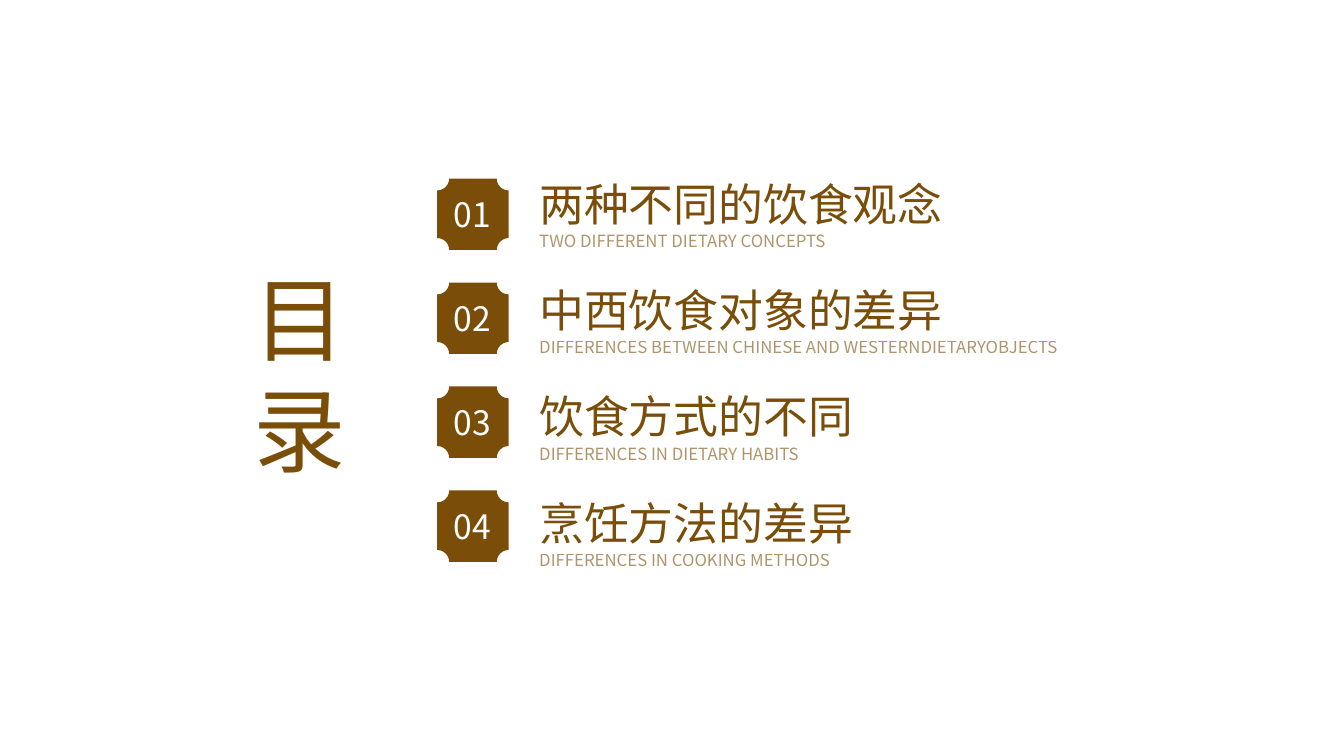
from lxml import etree
from pptx import Presentation
from pptx.dml.color import RGBColor
from pptx.enum.shapes import MSO_SHAPE as Shape
from pptx.enum.text import MSO_ANCHOR as Anchor, PP_ALIGN as Align
from pptx.oxml.ns import qn
from pptx.util import Cm, Pt

# Content
TITLE = "目 录"
CHAPTERS = [
    ("01", "两种不同的饮食观念", "TWO DIFFERENT DIETARY CONCEPTS"),
    ("02", "中西饮食对象的差异", "DIFFERENCES BETWEEN CHINESE AND WESTERNDIETARYOBJECTS"),
    ("03", "饮食方式的不同", "DIFFERENCES IN DIETARY HABITS"),
    ("04", "烹饪方法的差异", "DIFFERENCES IN COOKING METHODS"),
]

# Style
FONT = "Noto Sans CJK SC"
BROWN, WHITE = "7A4E09", "FFFFFF"
TITLE_STYLE = {"size": Pt(66), "bold": False}
HEADING_STYLE = {"size": Pt(32)}
SUBTITLE_STYLE = {"size": Pt(12)}
NUMBER_STYLE = {"size": Pt(24)}

# Layout in centimetres
TEXT_LEFT, TEXT_TOP, TEXT_PITCH = 13.34, 4.32, 2.68
HEADING_HEIGHT, SUBTITLE_HEIGHT, TEXT_WIDTH = 1.37, 0.79, 13.8
BADGE_LEFT, BADGE_TOP, BADGE_PITCH, BADGE_SIZE = 11.02, 4.5, 2.62, 1.8
NUMBER_SHIFT, NUMBER_HEIGHT = 0.16, 1.27


def paint(color_format, hex_color):
    color_format.rgb = RGBColor.from_string(hex_color)


def write(shape, text, style, color, align=Align.LEFT, anchor=Anchor.TOP, alpha=None):
    frame = shape.text_frame
    frame.word_wrap = True
    frame.vertical_anchor = anchor
    paragraph = frame.paragraphs[0]
    paragraph.alignment = align
    run = paragraph.add_run()
    run.text = text
    for key, value in {"name": FONT, **style}.items():
        setattr(run.font, key, value)
    paint(run.font.color, color)
    properties = run.font._element
    etree.SubElement(properties, qn("a:ea")).set("typeface", FONT)
    if alpha:
        srgb = properties.find(".//" + qn("a:srgbClr"))
        etree.SubElement(srgb, qn("a:alpha")).set("val", str(alpha * 1000))


def add_text(left, top, width, height, *args, **options):
    box = slide.shapes.add_textbox(Cm(left), Cm(top), Cm(width), Cm(height))
    write(box, *args, **options)


presentation = Presentation()
presentation.slide_width, presentation.slide_height = Cm(33.87), Cm(19.05)
slide = presentation.slides.add_slide(presentation.slide_layouts[5])

# Title
title = slide.shapes.title
title.left, title.top, title.width, title.height = Cm(5.33), Cm(6.48), Cm(4.45), Cm(3.5)
write(title, TITLE, TITLE_STYLE, BROWN, align=Align.CENTER)

for row, (number, heading, subtitle) in enumerate(CHAPTERS):
    # Chapter texts
    text_top = TEXT_TOP + row * TEXT_PITCH
    add_text(TEXT_LEFT, text_top, TEXT_WIDTH, HEADING_HEIGHT,
             heading, HEADING_STYLE, BROWN, align=Align.JUSTIFY)
    add_text(TEXT_LEFT, text_top + HEADING_HEIGHT, TEXT_WIDTH, SUBTITLE_HEIGHT,
             subtitle, SUBTITLE_STYLE, BROWN, alpha=60)

    # Numbered badge
    badge_top = BADGE_TOP + row * BADGE_PITCH
    badge = slide.shapes.add_shape(Shape.PLAQUE, Cm(BADGE_LEFT), Cm(badge_top),
                                   Cm(BADGE_SIZE), Cm(BADGE_SIZE))
    badge.shadow.inherit = False
    badge.fill.solid()
    paint(badge.fill.fore_color, BROWN)
    badge.line.fill.background()
    number_top = badge_top + (BADGE_SIZE - NUMBER_HEIGHT) / 2
    add_text(BADGE_LEFT + NUMBER_SHIFT, number_top, BADGE_SIZE, NUMBER_HEIGHT,
             number, NUMBER_STYLE, WHITE)

presentation.save("out.pptx")
